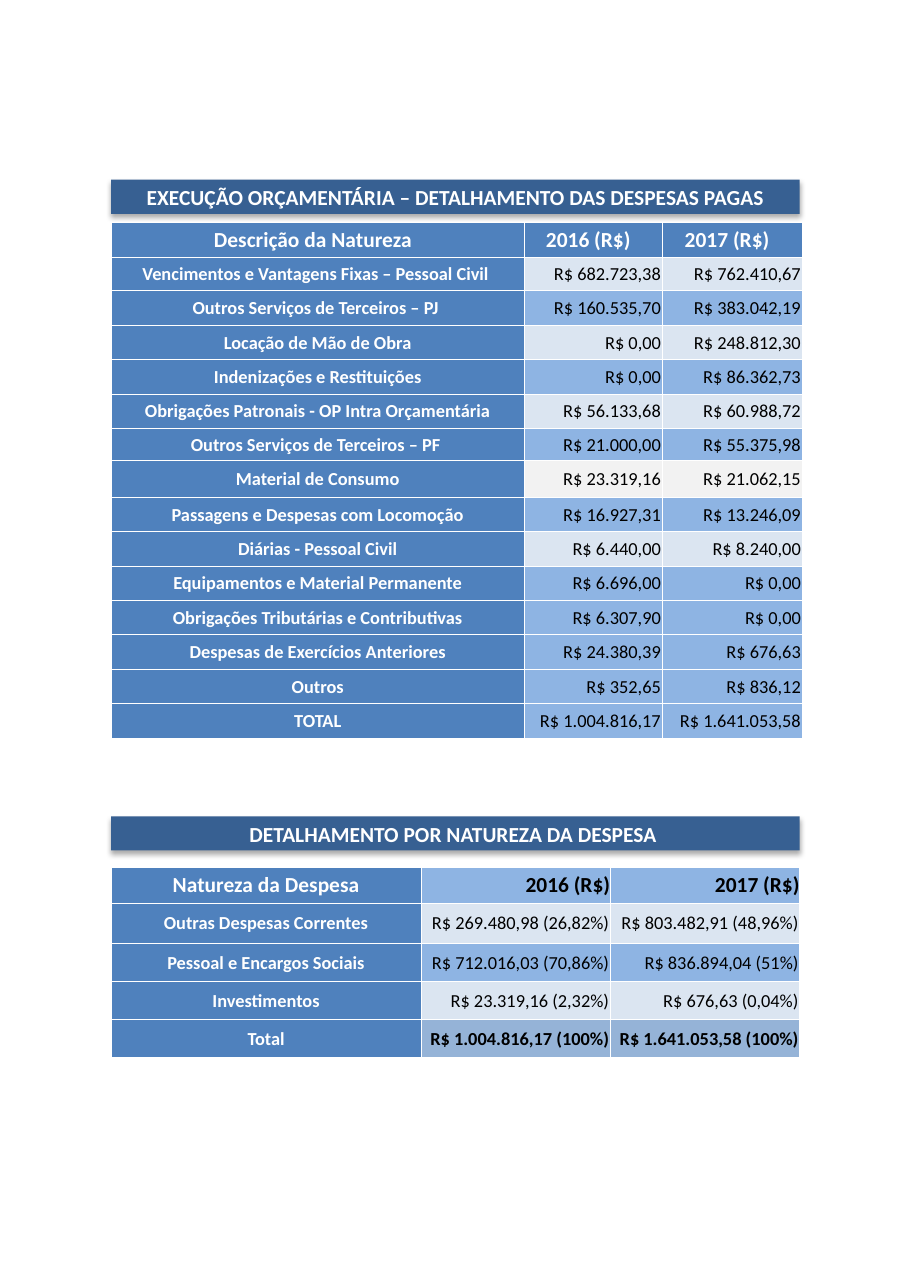
from lxml.etree import SubElement
from pptx import Presentation
from pptx.dml.color import RGBColor
from pptx.enum.shapes import MSO_SHAPE
from pptx.enum.text import MSO_ANCHOR, MSO_AUTO_SIZE, PP_ALIGN
from pptx.oxml import parse_xml
from pptx.oxml.ns import nsdecls, qn
from pptx.util import Pt

WHITE = RGBColor(0xFF, 0xFF, 0xFF)
BLACK = RGBColor(0x00, 0x00, 0x00)
NAVY = RGBColor(0x37, 0x60, 0x92)
BLUE = RGBColor(0x4F, 0x81, 0xBD)
SKY = RGBColor(0x8E, 0xB4, 0xE3)
PALE = RGBColor(0xDB, 0xE5, 0xF1)
GRAY = RGBColor(0xF2, 0xF2, 0xF2)
STEEL = RGBColor(0x95, 0xB3, 0xD7)

NO_STYLE = "{2D5ABB26-0587-4C30-8999-92F81FD0307C}"
LEFT = 72.7
BANNER_WIDTH = 450


def format_text(paragraph, size, color, bold, alignment):
    paragraph.alignment = alignment
    paragraph.font.name = "Calibri"
    paragraph.font.size = Pt(size)
    paragraph.font.bold = bold
    paragraph.font.color.rgb = color


def add_borders(cell, sides):
    properties = cell._tc.get_or_add_tcPr()
    for side in sides:
        line = SubElement(properties, qn(f"a:ln{side}"), w=str(Pt(0.5)))
        fill = SubElement(line, qn("a:solidFill"))
        SubElement(fill, qn("a:srgbClr"), val=str(WHITE))


presentation = Presentation()
presentation.slide_width = Pt(595.44)
presentation.slide_height = Pt(841.68)
slide = presentation.slides.add_slide(presentation.slide_layouts[5])

nature_banner = slide.shapes.add_shape(
    MSO_SHAPE.RECTANGLE, Pt(LEFT), Pt(533.5), Pt(BANNER_WIDTH), Pt(22.3))
banners = [
    (slide.shapes.title, 117.4, "EXECUÇÃO ORÇAMENTÁRIA – DETALHAMENTO DAS DESPESAS PAGAS"),
    (nature_banner, 533.5, "DETALHAMENTO POR NATUREZA DA DESPESA "),
]
for banner, top, text in banners:
    banner.left, banner.top = Pt(LEFT), Pt(top)
    banner.width, banner.height = Pt(BANNER_WIDTH), Pt(22.3)
    banner.fill.solid()
    banner.fill.fore_color.rgb = NAVY
    banner.line.fill.background()
    banner.shadow.inherit = False
    effects = banner.element.spPr.find(qn("a:effectLst"))
    effects.append(parse_xml(
        f'<a:outerShdw {nsdecls("a")} blurRad="{Pt(3.5)}" dist="{Pt(2.2)}" dir="5400000" '
        'rotWithShape="0"><a:srgbClr val="000000"><a:alpha val="32000"/></a:srgbClr></a:outerShdw>'))
    frame = banner.text_frame
    frame.text = text
    frame.word_wrap = True
    frame.auto_size = MSO_AUTO_SIZE.NONE
    frame.vertical_anchor = MSO_ANCHOR.MIDDLE
    frame.margin_top = frame.margin_bottom = 0
    format_text(frame.paragraphs[0], 14, WHITE, True, PP_ALIGN.CENTER)

expense_rows = [
    ("Descrição da Natureza", "2016 (R$)", "2017 (R$)", BLUE, 22.5),
    ("Vencimentos e Vantagens Fixas – Pessoal Civil ", "R$ 682.723,38", "R$ 762.410,67", PALE, 21.6),
    ("Outros Serviços de Terceiros – PJ ", "R$ 160.535,70", "R$ 383.042,19", SKY, 23),
    ("Locação de Mão de Obra", "R$ 0,00", "R$ 248.812,30", PALE, 22.5),
    ("Indenizações e Restituições", "R$ 0,00", "R$ 86.362,73", SKY, 22.5),
    ("Obrigações Patronais - OP Intra Orçamentária", "R$ 56.133,68", "R$ 60.988,72", PALE, 22.5),
    ("Outros Serviços de Terceiros – PF ", "R$ 21.000,00", "R$ 55.375,98", SKY, 21),
    ("Material de Consumo", "R$ 23.319,16", "R$ 21.062,15", GRAY, 24),
    ("Passagens e Despesas com Locomoção", "R$ 16.927,31", "R$ 13.246,09", SKY, 22.5),
    ("Diárias - Pessoal Civil", "R$ 6.440,00", "R$ 8.240,00", PALE, 22.5),
    ("Equipamentos e Material Permanente", "R$ 6.696,00", "R$ 0,00", SKY, 22.5),
    ("Obrigações Tributárias e Contributivas", "R$ 6.307,90", "R$ 0,00", SKY, 22.5),
    ("Despesas de Exercícios Anteriores", "R$ 24.380,39", "R$ 676,63", SKY, 22.5),
    ("Outros", "R$ 352,65", "R$ 836,12", SKY, 22.5),
    ("TOTAL", "R$ 1.004.816,17", "R$ 1.641.053,58", SKY, 22.5),
]
nature_rows = [
    ("Natureza da Despesa", "2016 (R$)", "2017 (R$)", SKY, 23),
    ("Outras Despesas Correntes", "R$ 269.480,98 (26,82%)", "R$ 803.482,91 (48,96%)", PALE, 26.6),
    ("Pessoal e Encargos Sociais", "R$ 712.016,03 (70,86%)", "R$ 836.894,04 (51%)", SKY, 24.8),
    ("Investimentos", "R$ 23.319,16 (2,32%)", "R$ 676,63 (0,04%)", PALE, 24.8),
    ("Total", "R$ 1.004.816,17 (100%)", "R$ 1.641.053,58 (100%)", STEEL, 24.8),
]
tables = [
    (expense_rows, 145.4, (270, 90, 91.5)),
    (nature_rows, 567, (202.4, 123.8, 123.8)),
]

for rows, top, widths in tables:
    table_frame = slide.shapes.add_table(
        len(rows), len(widths), Pt(LEFT), Pt(top), Pt(sum(widths)), Pt(sum(row[-1] for row in rows)))
    table_frame.element.find(".//" + qn("a:tableStyleId")).text = NO_STYLE
    table = table_frame.table
    for column, width in zip(table.columns, widths):
        column.width = Pt(width)
    for row_index, (*texts, value_fill, height) in enumerate(rows):
        table.rows[row_index].height = Pt(height)
        is_header = row_index == 0
        for column_index, text in enumerate(texts):
            cell = table.cell(row_index, column_index)
            is_value = column_index > 0
            fill_color = value_fill if is_value else BLUE
            sides = "LRTB"
            if value_fill == STEEL and is_value:
                sides = "LTB" if column_index == 1 else "RTB"
            add_borders(cell, sides)
            cell.fill.solid()
            cell.fill.fore_color.rgb = fill_color
            cell.vertical_anchor = MSO_ANCHOR.MIDDLE
            cell.margin_bottom = 0
            cell.margin_left = cell.margin_right = cell.margin_top = Pt(0 if is_header else 0.7)
            if is_header and rows is expense_rows:
                cell.margin_right = Pt(6.4)
            cell.text = text
            format_text(
                cell.text_frame.paragraphs[0],
                14 if is_header else 12,
                WHITE if fill_color == BLUE else BLACK,
                is_header or not is_value or value_fill == STEEL,
                PP_ALIGN.CENTER if fill_color == BLUE else PP_ALIGN.RIGHT)

presentation.save("out.pptx")
